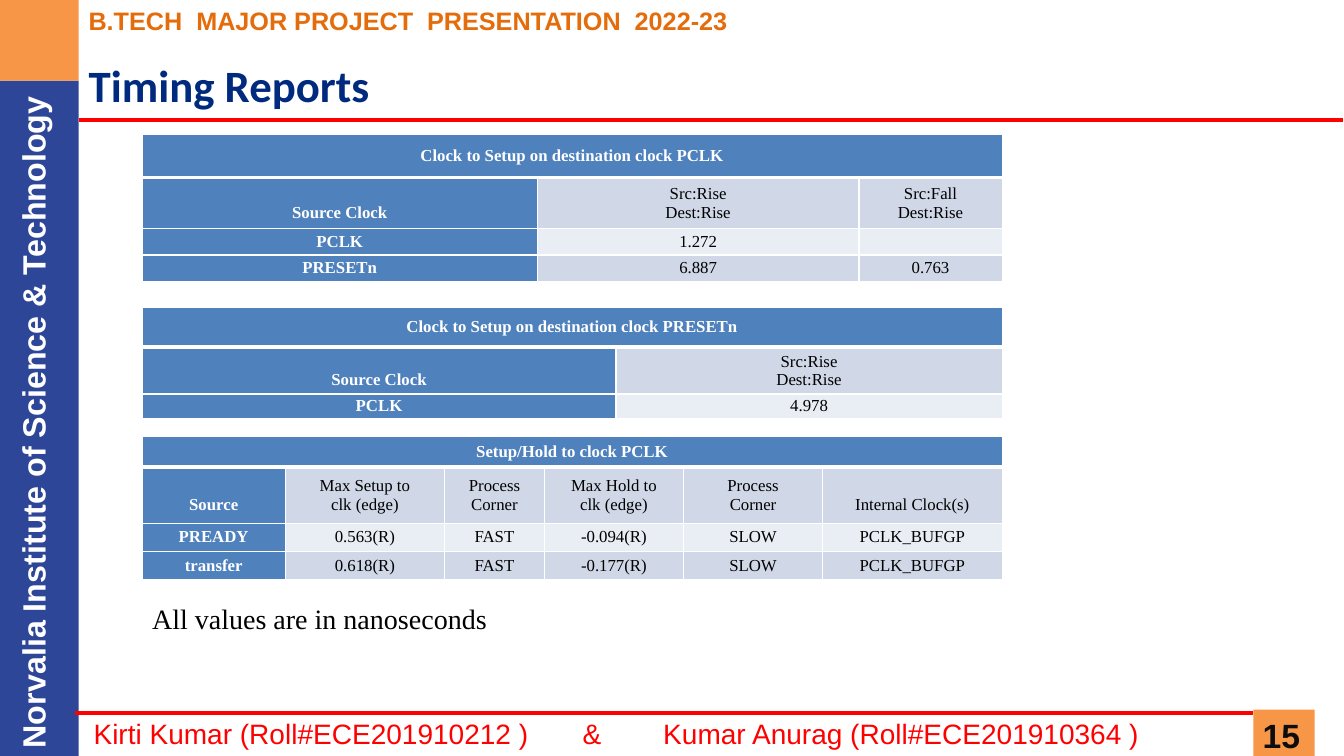
from lxml import etree
from pptx import Presentation
from pptx.dml.color import RGBColor
from pptx.enum.shapes import MSO_CONNECTOR, MSO_SHAPE
from pptx.enum.text import MSO_ANCHOR, MSO_AUTO_SIZE, PP_ALIGN
from pptx.oxml.ns import qn
from pptx.util import Inches, Pt

LEFT, CENTER = PP_ALIGN.LEFT, PP_ALIGN.CENTER
MIDDLE, BOTTOM, TOP = MSO_ANCHOR.MIDDLE, MSO_ANCHOR.BOTTOM, MSO_ANCHOR.TOP
RECTANGLE, STRAIGHT = MSO_SHAPE.RECTANGLE, MSO_CONNECTOR.STRAIGHT
NO_AUTOFIT = MSO_AUTO_SIZE.NONE

WHITE = RGBColor(0xFF, 0xFF, 0xFF)
BLACK = RGBColor(0x00, 0x00, 0x00)
NEAR_BLACK = RGBColor(0x0D, 0x0D, 0x0D)
RED = RGBColor(0xFF, 0x00, 0x00)
ORANGE = RGBColor(0xF7, 0x96, 0x46)
DARK_ORANGE = RGBColor(0xE4, 0x6C, 0x0A)
SIDE_BLUE = RGBColor(0x2E, 0x46, 0x98)
TITLE_BLUE = RGBColor(0x00, 0x2A, 0x7E)
HEAD_BLUE = RGBColor(0x4F, 0x81, 0xBD)
BANDS = (RGBColor(0xE9, 0xED, 0xF4), RGBColor(0xD0, 0xD8, 0xE8))

SERIF = "Times New Roman"
TABLE_LEFT, TABLE_WIDTH = 1.41, 8.53
TWO_LINES = 0.38

TABLES = [
    dict(top=1.33, cols=[3.92, 3.19, 1.42], rows=[0.43, 0.51, 0.26, 0.26], cells=[
        ["Clock to Setup on destination clock PCLK"],
        ["Source Clock", "Src:Rise\nDest:Rise", "Src:Fall\nDest:Rise"],
        ["PCLK", "1.272", ""],
        ["PRESETn", "6.887", "0.763"]]),
    dict(top=3.05, cols=[4.7, 3.83], rows=[0.39, 0.47, 0.24], cells=[
        ["Clock to Setup on destination clock PRESETn"],
        ["Source Clock", "Src:Rise\nDest:Rise"],
        ["PCLK", "4.978"]]),
    dict(top=4.33, cols=[1.42, 1.58, 0.99, 1.38, 1.38, 1.78],
         rows=[0.3, 0.56, 0.28, 0.28], cells=[
        ["Setup/Hold to clock PCLK"],
        ["Source", "Max Setup to\nclk (edge)", "Process\nCorner",
         "Max Hold to\nclk (edge)", "Process\nCorner", "Internal Clock(s)"],
        ["PREADY", "0.563(R)", "FAST", "-0.094(R)", "SLOW", "PCLK_BUFGP"],
        ["transfer", "0.618(R)", "FAST", "-0.177(R)", "SLOW", "PCLK_BUFGP"]]),
]


def format_text(tf, font, size, color, bold=False, align=LEFT):
    values = dict(name=font, size=Pt(size), bold=bold)
    for p in tf.paragraphs:
        p.alignment = align
        for r in p.runs:
            for key, value in values.items():
                setattr(r.font, key, value)
            r.font.color.rgb = color


def add_text(s, box, text, font, size, color, bold=False, align=LEFT, wrap=True):
    sp = s.shapes.add_textbox(*map(Inches, box))
    sp.text_frame.text = text
    sp.text_frame.word_wrap = wrap
    format_text(sp.text_frame, font, size, color, bold, align)
    return sp


def add_block(s, box, color):
    sp = s.shapes.add_shape(RECTANGLE, *map(Inches, box))
    sp.shadow.inherit = False
    sp.fill.solid()
    sp.fill.fore_color.rgb = color
    sp.line.fill.background()


def add_rule(s, left, right, y, width):
    line = s.shapes.add_connector(STRAIGHT, Inches(left), Inches(y), Inches(right), Inches(y))
    line.line.color.rgb = RED
    line.line.width = Pt(width)
    etree.SubElement(line._element.spPr, qn("a:effectLst"))


def add_sidebar(s, x, y, w, h):
    corner = 0.8
    add_block(s, (x, y + corner, w, h - corner), SIDE_BLUE)
    add_block(s, (x, y, w, corner), ORANGE)
    length, depth = 7.18, 0.49
    box = (x + 0.33 - length / 2, y + 4.19 - depth / 2, length, depth)
    name = add_text(s, box, "Norvalia Institute of Science & Technology",
                    "Arial", 23, WHITE, True, CENTER)
    name.rotation = 270


def add_header(s, x, y, w, h):
    add_text(s, (x, y, 6.78, 0.41), "B.TECH  MAJOR PROJECT  PRESENTATION  2022-23",
             "Arial", 18, DARK_ORANGE, True, wrap=False)
    title = s.shapes.title
    box = dict(left=x, top=y + 0.5, width=11, height=0.67)
    for key, value in box.items():
        setattr(title, key, Inches(value))
    tf = title.text_frame
    tf.text = "Timing Reports"
    tf.auto_size = NO_AUTOFIT
    tf.vertical_anchor = MIDDLE
    tf.paragraphs[0].space_before = Pt(6)
    format_text(tf, "Calibri", 32, TITLE_BLUE, True)
    add_rule(s, x, x + w, y + h, 2.75)


def add_footer(s, x, y, w, h):
    badge = 0.61
    add_block(s, (x + w - badge, y, badge, h), ORANGE)
    add_rule(s, x, x + w - badge, y + 0.03, 3)
    add_text(s, (x + w - 0.83, y, 1, h), "15", "Arial", 24, NEAR_BLACK, True, CENTER)
    authors = add_text(
        s, (x + 0.09, y + 0.02, 11.33, 0.44),
        "Kirti Kumar (Roll#ECE201910212 )\t&\tKumar Anurag (Roll#ECE201910364 )",
        "Arial", 20, RED)
    p_pr = authors.text_frame.paragraphs[0]._p.get_or_add_pPr()
    tabs = etree.SubElement(p_pr, qn("a:tabLst"))
    for stop in (4.85, 5.65):
        etree.SubElement(tabs, qn("a:tab"), pos=str(Inches(stop)), algn="l")


def set_borders(cell, row):
    """White borders, heavier between the caption row and the rest."""
    heavy = {0: "lnB", 1: "lnT"}.get(row)
    tc_pr = cell._tc.get_or_add_tcPr()
    for i, side in enumerate(("lnL", "lnR", "lnT", "lnB")):
        ln = etree.Element(qn(f"a:{side}"), w=str(Pt(3 if side == heavy else 1)))
        fill = etree.SubElement(ln, qn("a:solidFill"))
        etree.SubElement(fill, qn("a:srgbClr"), val=str(WHITE))
        tc_pr.insert(i, ln)


def fill_cell(cell, text, row, col, height):
    is_head = row == 0 or col == 0
    cell.fill.solid()
    cell.fill.fore_color.rgb = HEAD_BLUE if is_head else BANDS[row % 2]
    margins = dict.fromkeys(("left", "right", "top", "bottom"), 0)
    if row == 1:
        margins["bottom"] = (height - TWO_LINES) / 2
    for side, value in margins.items():
        setattr(cell, f"margin_{side}", Inches(value))
    cell.vertical_anchor = BOTTOM if row == 1 else MIDDLE
    cell.text = text
    format_text(cell.text_frame, SERIF, 12, WHITE if is_head else BLACK, is_head, CENTER)
    for p in cell.text_frame.paragraphs:
        etree.SubElement(p._p, qn("a:endParaRPr"), sz="1200")
    set_borders(cell, row)


def add_report(s, left, top, width, cols, rows, cells):
    frame = s.shapes.add_table(len(rows), len(cols), Inches(left), Inches(top),
                               Inches(width), Inches(sum(rows)))
    table = frame.table
    table.first_row = table.horz_banding = False
    for column, value in zip(table.columns, cols):
        column.width = Inches(value)
    for i, height in enumerate(rows):
        table.rows[i].height = Inches(height)
        for j in range(len(cols)):
            text = cells[i][j] if j < len(cells[i]) else ""
            fill_cell(table.cell(i, j), text, i, j, height)
    table.cell(0, 0).merge(table.cell(0, len(cols) - 1))


def add_timing_slide(prs):
    s = prs.slides.add_slide(prs.slide_layouts[5])
    add_sidebar(s, 0, 0, 0.78, 7.5)
    add_header(s, 0.78, 0, 12.54, 1.19)
    add_footer(s, 0.74, 7.04, 12.3, 0.46)
    for report in TABLES:
        add_report(s, TABLE_LEFT, width=TABLE_WIDTH, **report)
    add_text(s, (TABLE_LEFT, 5.92, 3.55, 0.44), "All values are in nanoseconds",
             SERIF, 20, BLACK, wrap=False).text_frame.vertical_anchor = TOP


def main():
    prs = Presentation()
    prs.slide_width, prs.slide_height = Inches(13.33), Inches(7.5)
    add_timing_slide(prs)
    prs.save("out.pptx")


if __name__ == "__main__":
    main()
